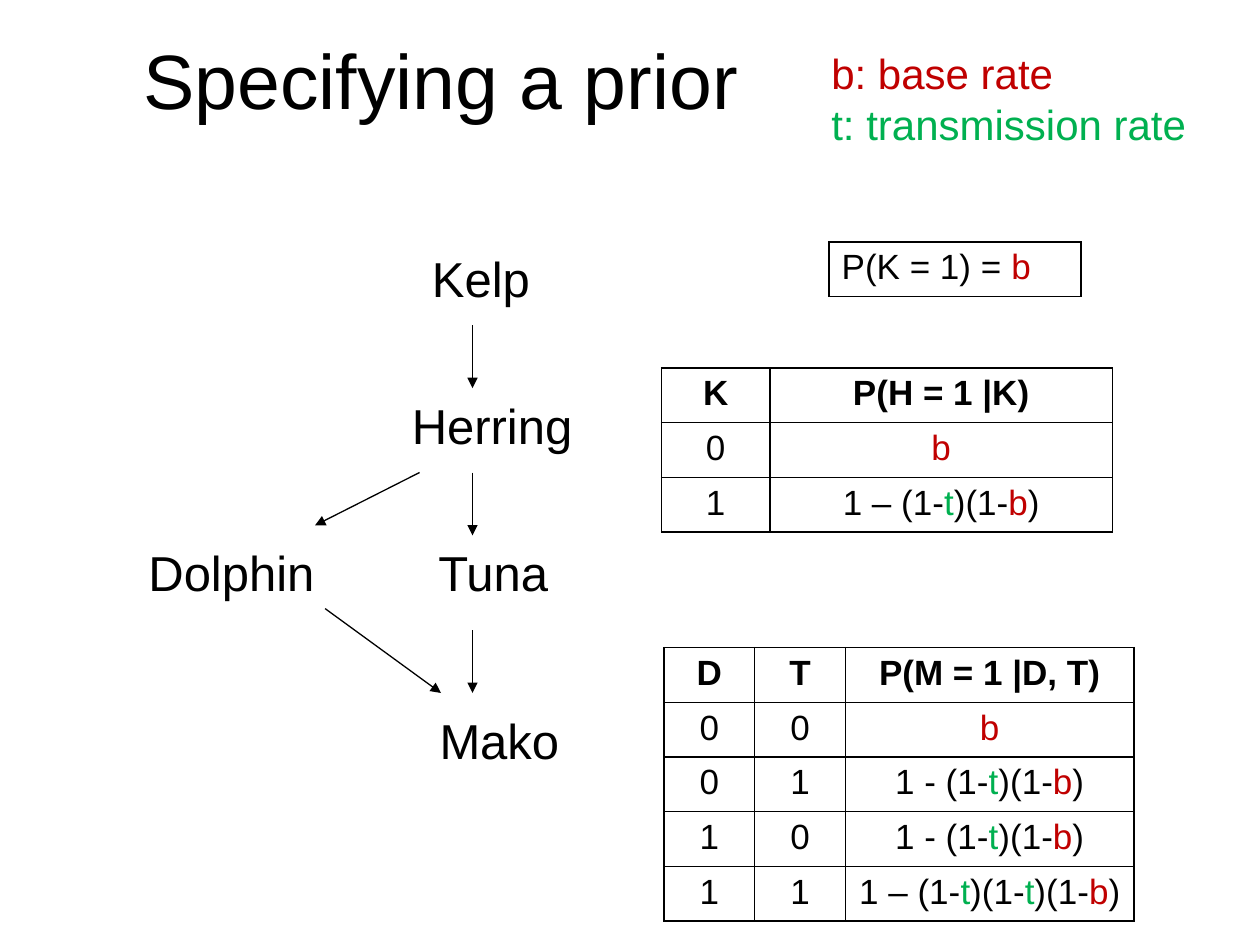
from itertools import groupby

from lxml import etree
from pptx import Presentation, util as u
from pptx.dml.color import RGBColor
from pptx.enum import shapes, text
from pptx.oxml import parse_xml
from pptx.oxml.ns import nsdecls, qn

FONT = "Arial"
BLACK, WHITE = "000000", "FFFFFF"
RATE_COLORS = {"b": "C00000", "t": "00B050"}
ROW_HEIGHT = 0.43

# Content: box is left, top, width, height in inches
TITLE = ("Specifying a prior", (0.5, 0, 6, 1.25))
LEGEND = (["b: base rate", "t: transmission rate"], (6.5, 0.33, 3.73, 1.31))
SPECIES = [
    ("Kelp", (3.33, 1.92, 0.99, 0.57)),
    ("Herring", (3.17, 3.09, 1.49, 0.57)),
    ("Tuna", (3.38, 4.26, 1.08, 0.57)),
    ("Dolphin", (1.08, 4.26, 1.53, 0.57)),
    ("Mako", (3.39, 5.59, 1.16, 0.57)),
]
ARROWS = [
    ((3.75, 2.58), (3.75, 3.08)),  # Kelp to Herring
    ((3.75, 3.75), (3.75, 4.25)),  # Herring to Tuna
    ((3.75, 5), (3.75, 5.5)),      # Tuna to Mako
    ((2.58, 4.83), (3.5, 5.5)),    # Dolphin to Mako
    ((3.33, 3.75), (2.5, 4.17)),   # Herring to Dolphin
]
KELP_PRIOR = [["P(K = 1) = b"]]
HERRING_PRIOR = [
    ["K", "P(H = 1 |K)"],
    ["0", "b"],
    ["1", "1 – (1-t)(1-b)"],
]
MAKO_PRIOR = [
    ["D", "T", "P(M = 1 |D, T)"],
    ["0", "0", "b"],
    ["0", "1", "1 - (1-t)(1-b)"],
    ["1", "0", "1 - (1-t)(1-b)"],
    ["1", "1", "1 – (1-t)(1-t)(1-b)"],
]


def rgb(color):
    return RGBColor.from_string(color)


def style(font, size, color=BLACK):
    font.name, font.size = FONT, u.Pt(size)
    font.color.rgb = rgb(color)


def add_text(lines, box, size, colors=(BLACK,), wrap=True):
    frame = slide.shapes.add_textbox(*map(u.Inches, box)).text_frame
    frame.word_wrap = wrap
    frame.text = "\n".join(lines)
    for paragraph, color in zip(frame.paragraphs, colors):
        style(paragraph.font, size, color)
    return frame


def add_arrow(start, end):
    arrow = slide.shapes.add_connector(
        shapes.MSO_CONNECTOR.STRAIGHT, *map(u.Inches, start + end))
    arrow.line.color.rgb = rgb(BLACK)
    arrow.line.width = u.Pt(0.75)
    etree.SubElement(arrow.line._get_or_add_ln(), qn("a:tailEnd"), type="triangle")
    etree.SubElement(arrow._element.spPr, qn("a:effectLst"))


def fill_cell(cell, formula, header, align):
    properties = cell._tc.get_or_add_tcPr()
    for side in "LRTB":
        properties.append(parse_xml(
            f'<a:ln{side} {nsdecls("a")} w="12700"><a:solidFill>'
            f'<a:srgbClr val="{BLACK}"/></a:solidFill></a:ln{side}>'))
    cell.fill.solid()
    cell.fill.fore_color.rgb = rgb(WHITE)
    paragraph = cell.text_frame.paragraphs[0]
    paragraph.alignment = align
    # The letters b and t take the colour of their rate
    for color, letters in groupby(formula, lambda c: RATE_COLORS.get(c, BLACK)):
        run = paragraph.add_run()
        run.text = "".join(letters)
        style(run.font, 20, color)
        run.font.bold = header


def add_prior(rows, left, top, widths, header=True, align=text.PP_ALIGN.CENTER):
    size = (sum(widths), ROW_HEIGHT * len(rows))
    table = slide.shapes.add_table(
        len(rows), len(widths), *map(u.Inches, (left, top, *size))).table
    table.first_row = table.horz_banding = False
    for column, width in zip(table.columns, widths):
        column.width = u.Inches(width)
    for r, row in enumerate(rows):
        for c, formula in enumerate(row):
            fill_cell(table.cell(r, c), formula, header and r == 0, align)


prs = Presentation()
prs.slide_width, prs.slide_height = u.Inches(10), u.Inches(7.5)
slide = prs.slides.add_slide(prs.slide_layouts[6])

# Title and legend
title = add_text([TITLE[0]], TITLE[1], 44)
title.vertical_anchor = text.MSO_ANCHOR.MIDDLE
title.paragraphs[0].alignment = text.PP_ALIGN.CENTER
add_text(*LEGEND, 24, RATE_COLORS.values())

# Food web
for name, box in SPECIES:
    add_text([name], box, 28, wrap=False)
for start, end in ARROWS:
    add_arrow(start, end)

# Probability tables
add_prior(KELP_PRIOR, 6.58, 1.92, [2], header=False, align=text.PP_ALIGN.LEFT)
add_prior(HERRING_PRIOR, 5.25, 2.92, [0.86, 2.72])
add_prior(MAKO_PRIOR, 5.27, 5.14, [0.72, 0.72, 2.29])

prs.save("out.pptx")
